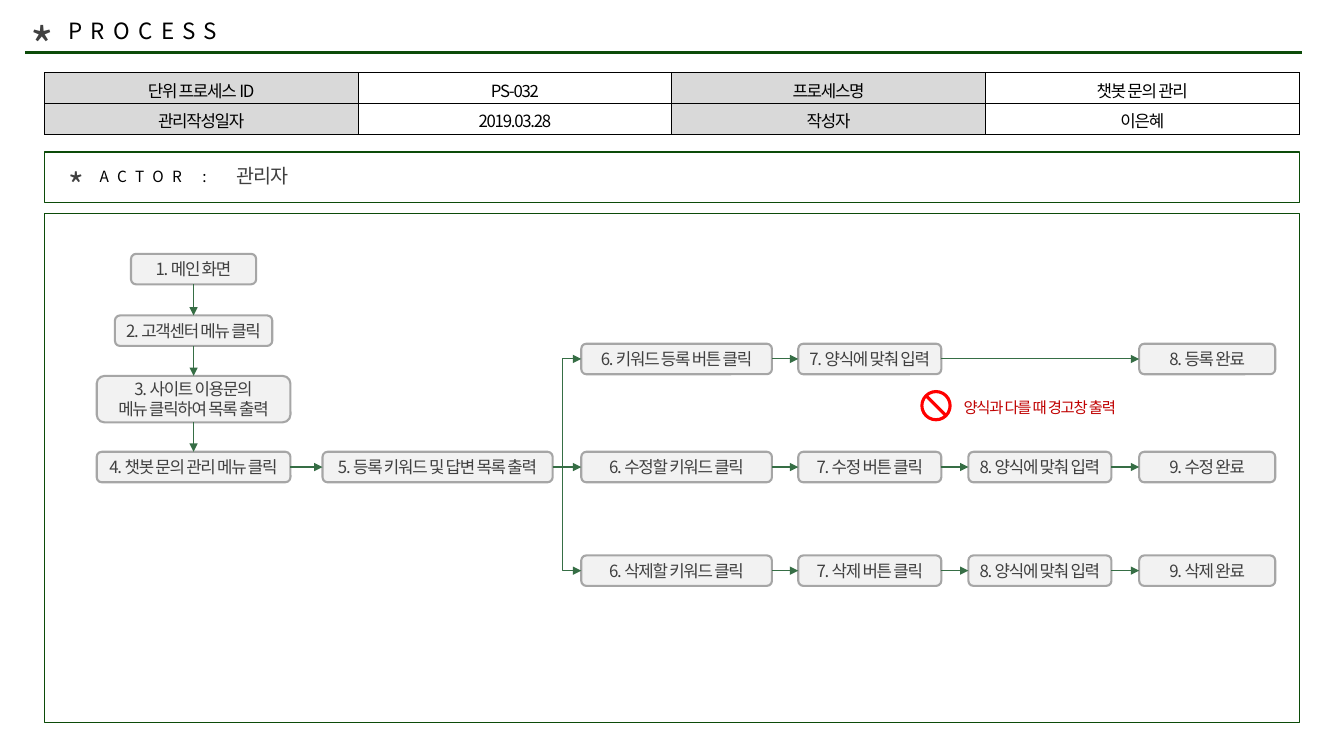
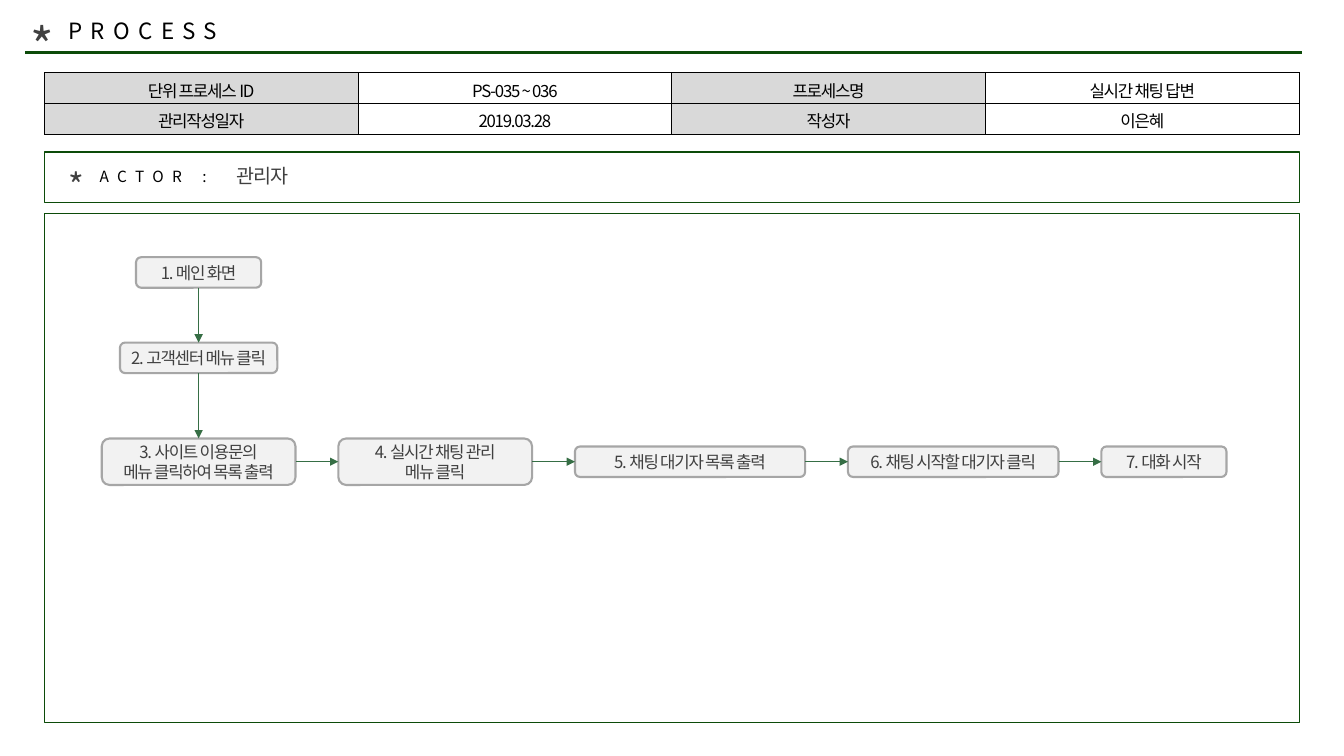
from itertools import pairwise
from lxml.etree import SubElement as Sub
from pptx import Presentation
from pptx.dml.color import RGBColor
from pptx.enum.shapes import MSO_CONNECTOR as Link, MSO_SHAPE as Kind
from pptx.enum.text import MSO_ANCHOR as Anchor, PP_ALIGN as Align
from pptx.oxml.ns import qn
from pptx.util import Pt

FONT = "Noto Sans CJK KR"
GREEN, ARROW, RED, WARN = "0C4B09", "366E45", "FF0000", "C00000"
BLACK, DARK, EDGE, HEAD, PALE = "000000", "404040", "A6A6A6", "D9D9D9", "F2F2F2"
TOP, LEFT, BOTTOM, RIGHT = range(4)
TABLE = (31.7, 52, 896.4, 43.6)
ACTOR = (31.7, 108.7, 896.4, 36)
PANEL = (31.7, 152.6, 896.4, 363.6)


def paint(target, color):
    if color:
        target.solid()
        target.fore_color.rgb = RGBColor.from_string(color)
    else:
        target.background()


def write(frame, text, size, color, gap=-0.9, align=Align.LEFT):
    for i, line in enumerate(text.split("\n")):
        para = frame.add_paragraph() if i else frame.paragraphs[0]
        para.alignment = align
        run = para.add_run()
        run.text = line
        run.font.name, run.font.size = FONT, Pt(size)
        paint(run.font.fill, color)
        props = run._r.get_or_add_rPr()
        props.set("spc", str(round(gap * 100)))
        Sub(props, qn("a:ea"), typeface=FONT)


def label(slide, x, y, w, h, text, size, color, gap=-0.9):
    frame = slide.shapes.add_textbox(Pt(x), Pt(y), Pt(w), Pt(h)).text_frame
    frame.word_wrap = True
    write(frame, text, size, color, gap)


def block(slide, kind, x, y, w, h, fill=None, edge=None, width=1):
    shape = slide.shapes.add_shape(kind, Pt(x), Pt(y), Pt(w), Pt(h))
    shape.shadow.inherit = False
    paint(shape.fill, fill)
    paint(shape.line.fill, edge)
    if edge:
        shape.line.width = Pt(width)
    return shape


def wire(slide, kind, ends, color, width):
    line = slide.shapes.add_connector(kind, *map(Pt, ends))
    paint(line.line.fill, color)
    line.line.width = Pt(width)
    Sub(line._element.spPr, qn("a:effectLst"))
    return line


def arrow(slide, start, end, out=RIGHT, into=LEFT, kind=Link.STRAIGHT):
    line = wire(slide, kind, (0, 0, 0, 0), ARROW, 0.75)
    line.begin_connect(start, out)
    line.end_connect(end, into)
    Sub(line.line._get_or_add_ln(), qn("a:tailEnd"), type="triangle")
    return line


def branch(slide, start, end):
    line = arrow(slide, start, end, kind=Link.ELBOW)
    guides = line._element.spPr.prstGeom.get_or_add_avLst()
    Sub(guides, qn("a:gd"), name="adj1", fmla="val 36000")


def header(slide):
    wire(slide, Link.STRAIGHT, (18, 37.4, 930, 37.4), GREEN, 2.25)
    label(slide, 14.4, 7.2, 37.4, 51, "*", 36, DARK)
    label(slide, 41.8, 8.6, 311, 26.6, "PROCESS", 16, BLACK, 6)


def facts(slide, box, code, name):
    rows = [["단위 프로세스 ID", code, "프로세스명", name],
            ["관리작성일자", "2019.03.28", "작성자", "이은혜"]]
    table = slide.shapes.add_table(2, 4, *map(Pt, box)).table
    table.first_row = table.horz_banding = False
    for r, row in enumerate(rows):
        for c, text in enumerate(row):
            cell = table.cell(r, c)
            cell.vertical_anchor = Anchor.MIDDLE
            write(cell.text_frame, text, 12, BLACK, align=Align.CENTER)
            props = cell._tc.get_or_add_tcPr()
            for side in "LRTB":
                edge = Sub(props, qn(f"a:ln{side}"), w=str(Pt(0.5)))
                Sub(Sub(edge, qn("a:solidFill")), qn("a:srgbClr"), val=BLACK)
            paint(cell.fill, None if c % 2 else HEAD)


def actor(slide, box):
    x, y = box[:2]
    label(slide, x + 10, y + 5.8, 37.4, 36, "*", 24, DARK)
    label(slide, x + 32.4, y + 7.2, 95.8, 21, "ACTOR :", 11, BLACK, 6)
    block(slide, Kind.RECTANGLE, *box, edge=GREEN)
    label(slide, x + 130.3, y + 5, 311, 24.5, "관리자", 14, DARK)


def node(slide, box, left, mid, w, text):
    h = 33.2 if "\n" in text else 21.8
    shape = block(slide, Kind.ROUNDED_RECTANGLE, box[0] + left,
                  box[1] + mid - h / 2, w, h, PALE, EDGE, 1.5)
    frame = shape.text_frame
    frame.word_wrap = True
    frame.vertical_anchor = Anchor.MIDDLE
    frame.margin_left = frame.margin_right = Pt(2.9)
    frame.margin_top = frame.margin_bottom = Pt(2.9)
    write(frame, text, 12, DARK, align=Align.CENTER)
    return shape


def column(slide, box, axis, steps):
    nodes = [node(slide, box, axis - w / 2, mid, w, text)
             for mid, w, text in steps]
    for a, b in pairwise(nodes):
        arrow(slide, a, b, BOTTOM, TOP)
    return nodes[-1]


def row(slide, box, mid, steps):
    nodes = [node(slide, box, left, mid, w, text) for left, w, text in steps]
    for a, b in pairwise(nodes):
        arrow(slide, a, b)
    return nodes[0]


def notice(slide, box, left, top, text):
    x, y = box[0] + left, box[1] + top
    sign = block(slide, Kind.NO_SYMBOL, x, y, 22.4, 22.4, RED)
    sign.adjustments[0] = 0.1
    label(slide, x + 23.8, y + 2, 188, 21, text, 11, WARN)


def page(deck, code, name):
    slide = deck.slides.add_slide(deck.slide_layouts[6])
    header(slide)
    facts(slide, TABLE, code, name)
    actor(slide, ACTOR)
    block(slide, Kind.RECTANGLE, *PANEL, edge=GREEN)
    return slide


MAIN = "1. 메인 화면"
HELP = "2. 고객센터 메뉴 클릭"
SITE = "3. 사이트 이용문의\n메뉴 클릭하여 목록 출력"


def chatbot(deck):
    slide = page(deck, "PS-032", "챗봇 문의 관리")
    last = column(slide, PANEL, 106.6, [
        (39.6, 89.4, MAIN), (83.6, 112.4, HELP), (132.5, 138.4, SITE),
        (181, 138.4, "4. 챗봇 문의 관리 메뉴 클릭")])
    hub = node(slide, PANEL, 198.7, 181, 164.4, "5. 등록 키워드 및 답변 목록 출력")
    arrow(slide, last, hub)
    slots = [(383.5, 136.2), (538.5, 102.2), (660, 102.2), (782, 97.2)]
    add, form, done = slots[0], slots[1], slots[3]
    upper = row(slide, PANEL, 103.8, [
        (*add, "6. 키워드 등록 버튼 클릭"), (*form, "7. 양식에 맞춰 입력"),
        (*done, "8. 등록 완료")])
    lanes = []
    for mid, verb in [(181, "수정"), (255, "삭제")]:
        texts = [f"6. {verb}할 키워드 클릭", f"7. {verb} 버튼 클릭",
                 "8. 양식에 맞춰 입력", f"9. {verb} 완료"]
        steps = [(*slot, text) for slot, text in zip(slots, texts)]
        lanes.append(row(slide, PANEL, mid, steps))
    arrow(slide, hub, lanes[0])
    branch(slide, hub, upper)
    branch(slide, hub, lanes[1])
    notice(slide, PANEL, 625.7, 126, "양식과 다를 때 경고창 출력")


def chat(deck):
    slide = page(deck, "PS-035 ~ 036", "실시간 채팅 답변")
    steps, left = [], 41
    for w, text in [(138.4, SITE), (138.4, "4. 실시간 채팅 관리\n메뉴 클릭"),
                    (164.4, "5. 채팅 대기자 목록 출력"),
                    (150.4, "6. 채팅 시작할 대기자 클릭"),
                    (89.4, "7. 대화 시작")]:
        steps.append((left, w, text))
        left += w + 30.6
    first = row(slide, PANEL, 177.2, steps)
    last = column(slide, PANEL, 110.2, [(42, 89.4, MAIN), (103, 112.4, HELP)])
    arrow(slide, last, first, BOTTOM, TOP)


deck = Presentation()
deck.slide_width, deck.slide_height = Pt(960), Pt(540)
chatbot(deck)
chat(deck)
deck.save("out.pptx")
